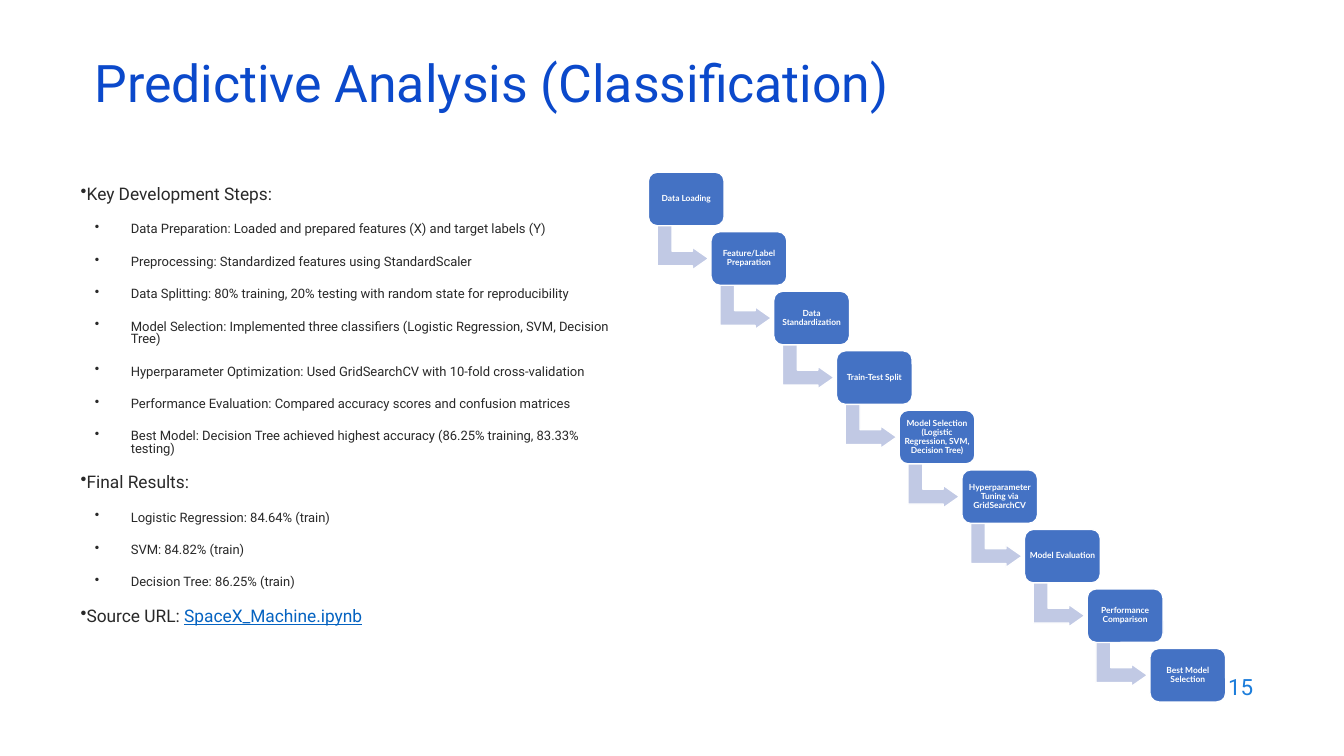
from dataclasses import dataclass

import lxml.etree
import pptx
import pptx.dml.color
import pptx.enum.shapes
import pptx.enum.text
import pptx.oxml.ns
import pptx.util

Cm = pptx.util.Cm
Pt = pptx.util.Pt
Align = pptx.enum.text.PP_ALIGN
Preset = pptx.enum.shapes.MSO_SHAPE
MIDDLE = pptx.enum.text.MSO_ANCHOR.MIDDLE

INK = "292929"
WHITE = "FFFFFF"
STEP_BLUE = "4472C4"
ARROW_BLUE = "C1C9E4"
LINK_BLUE = "0563C1"


@dataclass(frozen=True)
class Area:
    """A rectangle in centimetres."""
    left: float
    top: float
    width: float
    height: float

    def lengths(self) -> tuple:
        return Cm(self.left), Cm(self.top), Cm(self.width), Cm(self.height)


@dataclass(frozen=True)
class Section:
    heading: str
    points: tuple[str, ...] = ()
    link: str = ""


@dataclass(frozen=True)
class BulletStyle:
    level: int
    size: float
    margin: float
    indent: float


HEADING = BulletStyle(level=0, size=12.4, margin=0, indent=0)
POINT = BulletStyle(level=1, size=9.3, margin=1.27, indent=-0.91)

SECTIONS = (
    Section("Key Development Steps:", (
        "Data Preparation: Loaded and prepared features (X) and target labels (Y)",
        "Preprocessing: Standardized features using StandardScaler",
        "Data Splitting: 80% training, 20% testing with random state for reproducibility",
        "Model Selection: Implemented three classifiers (Logistic Regression, SVM, Decision Tree)",
        "Hyperparameter Optimization: Used GridSearchCV with 10-fold cross-validation",
        "Performance Evaluation: Compared accuracy scores and confusion matrices",
        "Best Model: Decision Tree achieved highest accuracy (86.25% training, 83.33% testing)",
    )),
    Section("Final Results:", (
        "Logistic Regression: 84.64% (train)",
        "SVM: 84.82% (train)",
        "Decision Tree: 86.25% (train)",
    )),
    Section("Source URL: ", link="SpaceX_Machine.ipynb"),
)

STEPS = (
    "Data Loading",
    "Feature/Label Preparation",
    "Data Standardization",
    "Train-Test Split",
    "Model Selection (Logistic Regression, SVM, Decision Tree)",
    "Hyperparameter Tuning via GridSearchCV",
    "Model Evaluation",
    "Performance Comparison",
    "Best Model Selection",
)
FIRST_STEP = Area(16.34, 4.34, 1.91, 1.35)
STEP_RIGHT, STEP_DOWN = 1.58, 1.5


def rgb(value: str) -> pptx.dml.color.RGBColor:
    return pptx.dml.color.RGBColor.from_string(value)


def write(paragraph, text: str, *, size: float, color: str, font: str = "Roboto",
          bold: bool = False, underline: bool = False, align=Align.LEFT,
          spacing: float = 1.0) -> None:
    """Append a formatted run to the paragraph."""
    paragraph.alignment = align
    paragraph.line_spacing = spacing
    run = paragraph.add_run()
    run.text = text
    run.font.name = font
    run.font.size = Pt(size)
    run.font.bold = bold
    run.font.underline = underline
    run.font.color.rgb = rgb(color)


def add_text_frame(slide, area: Area, anchor=pptx.enum.text.MSO_ANCHOR.TOP):
    frame = slide.shapes.add_textbox(*area.lengths()).text_frame
    frame.word_wrap = True
    frame.vertical_anchor = anchor
    return frame


def add_bullet(frame, text: str, style: BulletStyle):
    first = not frame.paragraphs[0].runs
    paragraph = frame.paragraphs[0] if first else frame.add_paragraph()
    paragraph.level = style.level
    properties = paragraph._p.get_or_add_pPr()
    properties.set("marL", str(Cm(style.margin)))
    properties.set("indent", str(Cm(style.indent)))
    bullet = lxml.etree.SubElement(properties, pptx.oxml.ns.qn("a:buChar"))
    bullet.set("char", "•")
    paragraph.space_before = Pt(0 if first else 14.2)
    write(paragraph, text, size=style.size, color=INK, spacing=0.8)
    return paragraph


def add_sections(slide, area: Area, sections: tuple[Section, ...]) -> None:
    frame = add_text_frame(slide, area)
    for section in sections:
        heading = add_bullet(frame, section.heading, HEADING)
        if section.link:
            write(heading, section.link, size=HEADING.size, color=LINK_BLUE,
                  underline=True, spacing=0.8)
        for point in section.points:
            add_bullet(frame, point, POINT)


def add_preset(slide, preset, area: Area, fill: str, adjustments: tuple[float, ...]):
    shape = slide.shapes.add_shape(preset, *area.lengths())
    shape.shadow.inherit = False
    shape.fill.solid()
    shape.fill.fore_color.rgb = rgb(fill)
    shape.line.color.rgb = rgb(WHITE)
    shape.line.width = Pt(1)
    for index, value in enumerate(adjustments):
        shape.adjustments[index] = value
    return shape


def add_step(slide, label: str, area: Area, has_next: bool) -> None:
    if has_next:
        arrow_area = Area(area.left + 0.3, area.top + 1.24, 1.14, 1.3)
        arrow = add_preset(slide, Preset.BENT_UP_ARROW, arrow_area, ARROW_BLUE,
                           (0.328, 0.25, 0.358))
        arrow.rotation = 90
    step = add_preset(slide, Preset.ROUNDED_RECTANGLE, area, STEP_BLUE, (0.167,))
    frame = step.text_frame
    frame.word_wrap = True
    frame.vertical_anchor = MIDDLE
    frame.margin_left = frame.margin_right = Cm(0.06)
    frame.margin_top = frame.margin_bottom = Cm(0.06)
    write(frame.paragraphs[0], label, size=6, color=WHITE, font="Lato", bold=True,
          align=Align.CENTER, spacing=0.9)


def main() -> None:
    presentation = pptx.Presentation()
    presentation.slide_width = Cm(33.87)
    presentation.slide_height = Cm(19.05)
    slide = presentation.slides.add_slide(presentation.slide_layouts[6])

    page_number = add_text_frame(slide, Area(24.21, 16.74, 7.62, 1.12), MIDDLE)
    write(page_number.paragraphs[0], "15", size=16, color="1C7DDB", align=Align.RIGHT)

    add_sections(slide, Area(1.78, 4.6, 14.2, 12.09), SECTIONS)

    title = add_text_frame(slide, Area(2.13, 1.5, 29.21, 1.52), MIDDLE)
    write(title.paragraphs[0], "Predictive Analysis (Classification)", size=37,
          color="0B49CB", spacing=0.7)

    for index, label in enumerate(STEPS):
        area = Area(FIRST_STEP.left + index * STEP_RIGHT,
                    FIRST_STEP.top + index * STEP_DOWN,
                    FIRST_STEP.width, FIRST_STEP.height)
        add_step(slide, label, area, has_next=index < len(STEPS) - 1)

    presentation.save("out.pptx")


if __name__ == "__main__":
    main()
